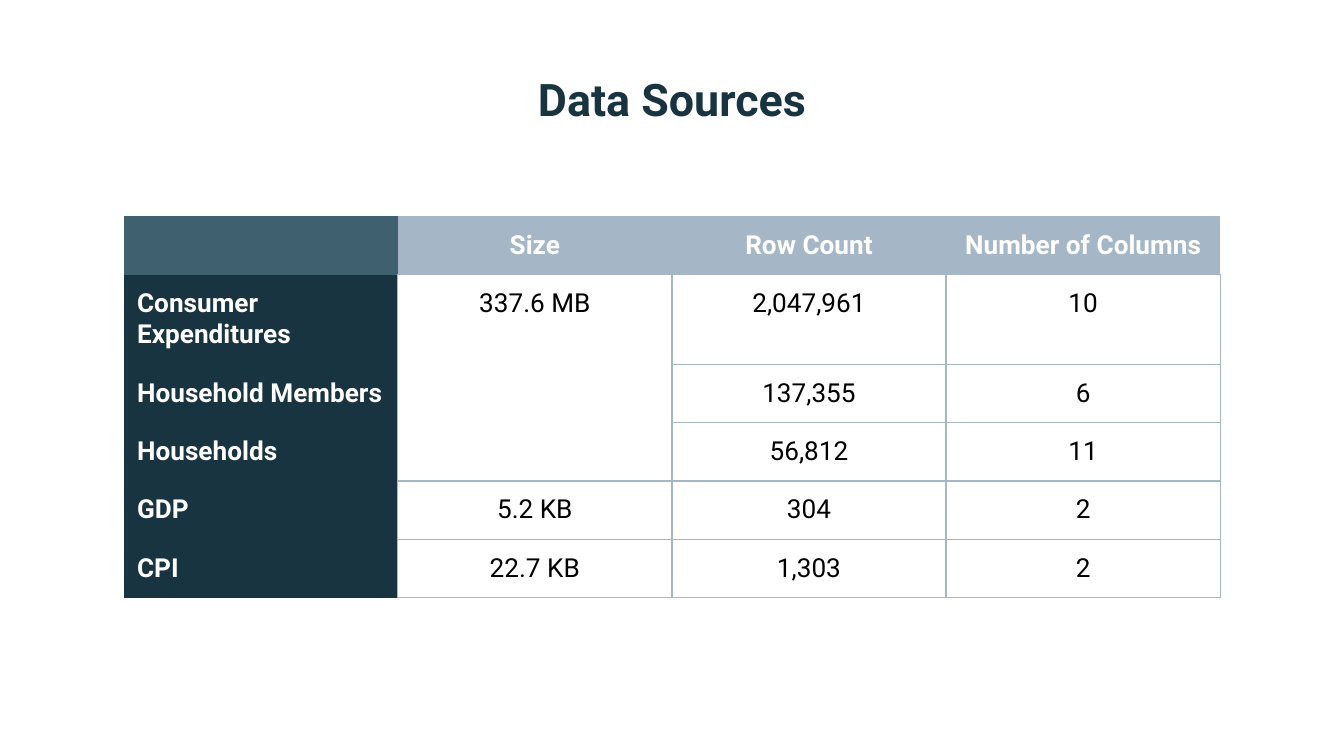
from lxml.etree import SubElement
from pptx import Presentation
from pptx.dml.color import RGBColor
from pptx.enum.text import MSO_ANCHOR, PP_ALIGN
from pptx.oxml.ns import qn
from pptx.util import Inches, Pt

COLORS = {
    "navy": "193441",
    "teal": "3E606F",
    "mist": "A5B7C6",
    "white": "FFFFFF",
    "black": "000000",
}
FONT = "Roboto"
TITLE = {"size": Pt(24), "bold": True, "name": FONT}
LABEL = {"size": Pt(14), "bold": True, "name": FONT}
VALUE = {"size": Pt(14), "bold": False, "name": FONT}
MARGINS = ("margin_left", "margin_right", "margin_top", "margin_bottom")
BORDER_WIDTH = Pt(0.75)
COLUMN_WIDTH = Inches(2.04)
ROW_HEIGHT = Inches(0.42)

ROWS = [
    ["", "Size", "Row Count", "Number of Columns"],
    ["Consumer Expenditures", "337.6 MB", "2,047,961", "10"],
    ["Household Members", "", "137,355", "6"],
    ["Households", "", "56,812", "11"],
    ["GDP", "5.2 KB", "304", "2"],
    ["CPI", "22.7 KB", "1,303", "2"],
]


def rgb(name):
    return RGBColor.from_string(COLORS[name])


def set_margins(box):
    for side in MARGINS:
        setattr(box, side, Inches(0.1))


def write(tf, text, color, fmt, align):
    p = tf.paragraphs[0]
    p.alignment = align
    p.line_spacing = 1.0
    if not text:
        SubElement(p._p, qn("a:endParaRPr"), sz=str(int(fmt["size"].pt * 100)))
        return
    r = p.add_run()
    r.text = text
    r.font.color.rgb = rgb(color)
    for name, value in fmt.items():
        setattr(r.font, name, value)


def set_borders(cell, sides):
    tcPr = cell._tc.get_or_add_tcPr()
    for side in "LRTB":
        ln = SubElement(tcPr, qn(f"a:ln{side}"), w=str(BORDER_WIDTH))
        if side in sides:
            fill = SubElement(ln, qn("a:solidFill"))
            SubElement(fill, qn("a:srgbClr"), val=COLORS["mist"])
        else:
            SubElement(ln, qn("a:noFill"))


def cell_style(row, col):
    if row == 0 and col == 0:
        return "teal", "", "white", LABEL, PP_ALIGN.LEFT
    if row == 0:
        return "mist", "B", "white", LABEL, PP_ALIGN.CENTER
    if col == 0:
        return "navy", "R", "white", LABEL, PP_ALIGN.LEFT
    return None, "LRTB", "black", VALUE, PP_ALIGN.CENTER


def add_title(slide, text):
    sp = slide.shapes.add_textbox(Inches(0.87), Inches(0.42), Inches(8.26), Inches(0.63))
    tf = sp.text_frame
    tf.word_wrap = True
    tf.vertical_anchor = MSO_ANCHOR.MIDDLE
    set_margins(tf)
    write(tf, text, "navy", TITLE, PP_ALIGN.CENTER)


def add_source_table(slide, rows):
    n_rows, n_cols = len(rows), len(rows[0])
    frame = slide.shapes.add_table(
        n_rows, n_cols, Inches(0.92), Inches(1.61), COLUMN_WIDTH * n_cols, ROW_HEIGHT * n_rows
    )
    table = frame.table
    table.first_row = table.horz_banding = False
    for i, row in enumerate(rows):
        table.rows[i].height = ROW_HEIGHT
        for j, text in enumerate(row):
            cell = table.cell(i, j)
            fill, sides, color, fmt, align = cell_style(i, j)
            set_margins(cell)
            set_borders(cell, sides)
            if fill:
                cell.fill.solid()
                cell.fill.fore_color.rgb = rgb(fill)
            else:
                cell.fill.background()
            write(cell.text_frame, text, color, fmt, align)
    table.cell(1, 1).merge(table.cell(3, 1))


def main():
    prs = Presentation()
    prs.slide_width, prs.slide_height = Inches(10), Inches(10 * 9 / 16)
    slide = prs.slides.add_slide(prs.slide_layouts[6])
    add_title(slide, "Data Sources")
    add_source_table(slide, ROWS)
    prs.save("out.pptx")


if __name__ == "__main__":
    main()
